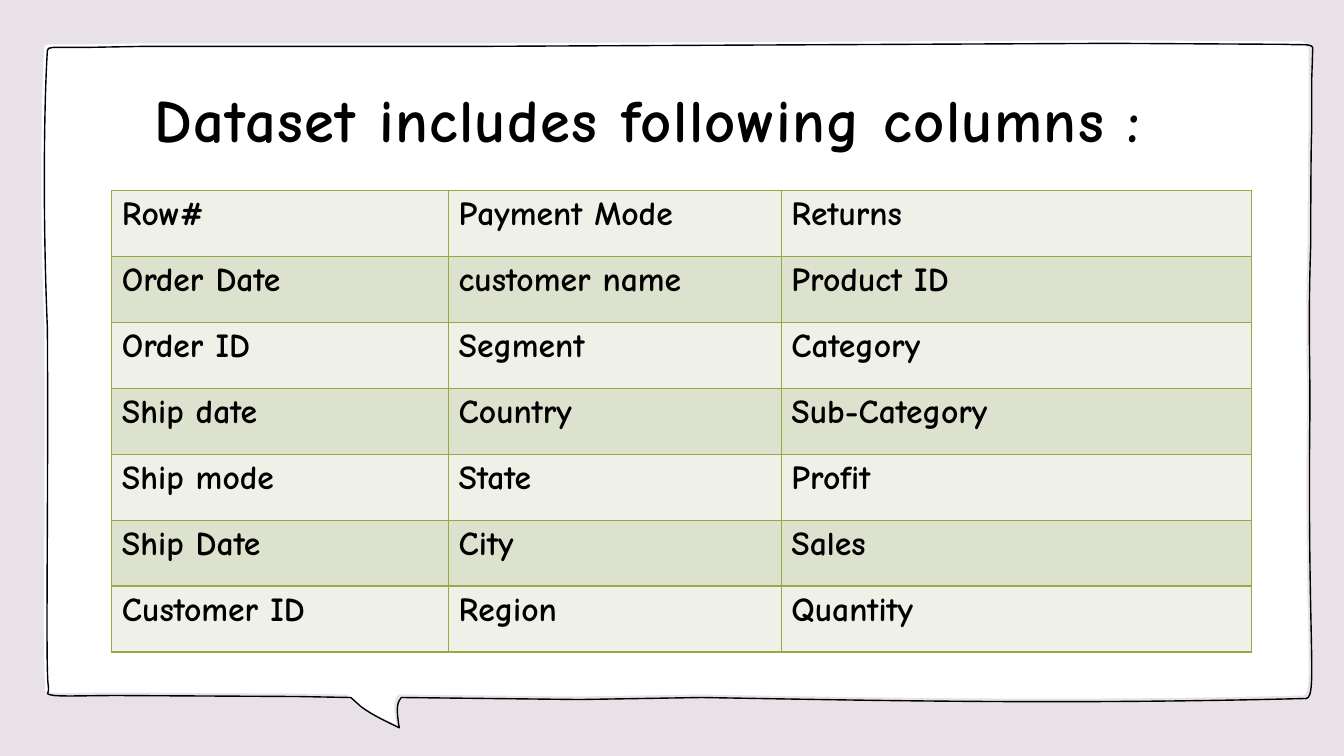
from lxml.etree import SubElement as Sub
from pptx import Presentation as Deck
from pptx.dml.color import RGBColor as RGB
from pptx.enum.text import MSO_ANCHOR as Anchor, MSO_AUTO_SIZE as Fit, PP_ALIGN as Align
from pptx.oxml.ns import qn
from pptx.util import Inches, Pt

HUE = {"back": "E8E2E8", "panel": "FFFFFF", "ink": "000000",
       "edge": "98A942", "light": "EFF1E9", "dark": "DDE2CF"}

# Speech bubble: two numbers make a line, six make a curve
START = (10.99, 0.4)
BUBBLE = [
    (12.73, 0.41), (12.86, 0.42, 12.95, 0.37, 12.98, 0.49), (12.98, 0.76),
    (12.98, 0.93, 12.98, 1.1, 12.98, 1.27), (12.97, 1.4, 12.97, 2.33, 12.97, 2.39),
    (12.94, 3.27, 12.97, 3.63, 12.96, 4.22), (12.94, 6.54, 13.05, 6.93, 12.9, 6.9),
    (10.53, 6.96, 8.69, 6.92, 6.93, 6.89), (5.72, 6.91), (3.95, 6.89), (3.93, 6.92),
    (3.9, 6.97, 3.91, 7.07, 3.93, 7.19), (3.81, 7.13, 3.67, 7.07, 3.55, 6.98),
    (3.45, 6.89), (2.92, 6.88), (1.14, 6.87), (0.86, 6.87, 0.63, 6.88, 0.51, 6.87),
    (0.4, 6.85, 0.46, 6.87, 0.45, 6.78), (0.42, 6.63, 0.45, 5.19, 0.44, 3.23),
    (0.39, 2.04, 0.41, 0.93, 0.44, 0.47), (0.45, 0.46, 0.45, 0.45, 0.45, 0.45),
    (0.5, 0.44), (0.74, 0.44), (0.86, 0.44), (1.4, 0.43), (4.77, 0.43), START,
]
# The outline has a sharper top right corner
CORNER = (12.86, 0.42, 12.97, 0.4, 12.99, 0.44)
OUTLINE = [BUBBLE[0], CORNER, *BUBBLE[2:]]

FIELDS = [
    ("Row#", "Payment Mode", "Returns"),
    ("Order Date", "customer name", "Product ID"),
    ("Order ID", "Segment", "Category"),
    ("Ship date", "Country", "Sub-Category"),
    ("Ship mode", "State", "Profit"),
    ("Ship Date", "City", "Sales"),
    ("Customer ID", "Region", "Quantity"),
]


class Board:
    font = "Comic Neue"

    def __init__(self, deck):
        self.slide = deck.slides.add_slide(deck.slide_layouts[5])
        self.paint(self.slide.background.fill, "back")

    def paint(self, fill, hue):
        fill.solid()
        fill.fore_color.rgb = RGB.from_string(HUE[hue])

    def style(self, para, size):
        para.alignment = Align.LEFT
        for run in para.runs:
            run.font.name, run.font.size, run.font.bold = self.font, Pt(size), True
            run.font.color.rgb = RGB.from_string(HUE["ink"])

    def shape(self, parts, shift=0, fill=None, line=None):
        parts = [[Inches(n + shift) for n in part] for part in parts]
        pen = self.slide.shapes.build_freeform(*parts[-1], scale=1)
        pen.add_line_segments([part[-2:] for part in parts], close=True)
        form = pen.convert_to_shape()
        self.bend(form, parts)
        form.shadow.inherit = False
        if fill:
            self.paint(form.fill, fill)
        else:
            form.fill.background()
        if line:
            self.paint(form.line.fill, line)
            form.line.width = Pt(1)
        else:
            form.line.fill.background()

    def bend(self, form, parts):
        """Turn the segments that have control points into curves."""
        for seg, part in zip(list(form.element.iter(qn("a:lnTo"))), parts):
            if len(part) == 6:
                seg.tag = qn("a:cubicBezTo")
                for dot in list(seg):
                    seg.remove(dot)
                for x, y in zip(part[::2], part[1::2]):
                    Sub(seg, qn("a:pt"), x=str(x - form.left), y=str(y - form.top))

    def title(self, text, left, top, width, height):
        head = self.slide.shapes.title
        head.left, head.top, head.width, head.height = map(Inches, (left, top, width, height))
        frame = head.text_frame
        frame.text = text
        frame.word_wrap, frame.auto_size = True, Fit.NONE
        frame.vertical_anchor = Anchor.TOP
        frame.margin_left, frame.margin_top = Inches(0.41), Inches(0.2)
        frame.margin_bottom = 0
        para = frame.paragraphs[0]
        para.line_spacing = 1.0
        self.style(para, 43.2)
        para.runs[0].font._element.set("spc", "100")
        # Bring the title in front of the bubble
        head.element.getparent().append(head.element)

    def border(self, cell):
        props = cell._tc.get_or_add_tcPr()
        for side in ("lnL", "lnR", "lnT", "lnB"):
            line = Sub(props, qn("a:" + side), w=str(Pt(1)))
            Sub(Sub(line, qn("a:solidFill")), qn("a:srgbClr"), val=HUE["edge"])

    def table(self, rows, left, top, widths, height):
        box = map(Inches, (left, top, sum(widths), height))
        grid = self.slide.shapes.add_table(len(rows), len(widths), *box).table
        grid.first_row = grid.horz_banding = False
        for col, width in zip(grid.columns, widths):
            col.width = Inches(width)
        for i, row in enumerate(rows):
            grid.rows[i].height = Inches(height / len(rows))
            for j, text in enumerate(row):
                cell = grid.cell(i, j)
                cell.text_frame.text = text
                self.style(cell.text_frame.paragraphs[0], 24)
                self.border(cell)
                self.paint(cell.fill, "dark" if i % 2 else "light")


def main():
    deck = Deck()
    deck.slide_width, deck.slide_height = Inches(13.33), Inches(7.5)
    board = Board(deck)

    # White bubble with a slightly shifted outline
    board.shape(BUBBLE, fill="panel")
    board.shape(OUTLINE, shift=0.03, line="ink")

    # Heading and column names
    board.title("Dataset includes following columns :", 1.12, 0.61, 11.3, 0.89)
    board.table(FIELDS, 1.11, 1.89, (3.34, 3.3, 4.66), 4.58)
    deck.save("out.pptx")


if __name__ == "__main__":
    main()
